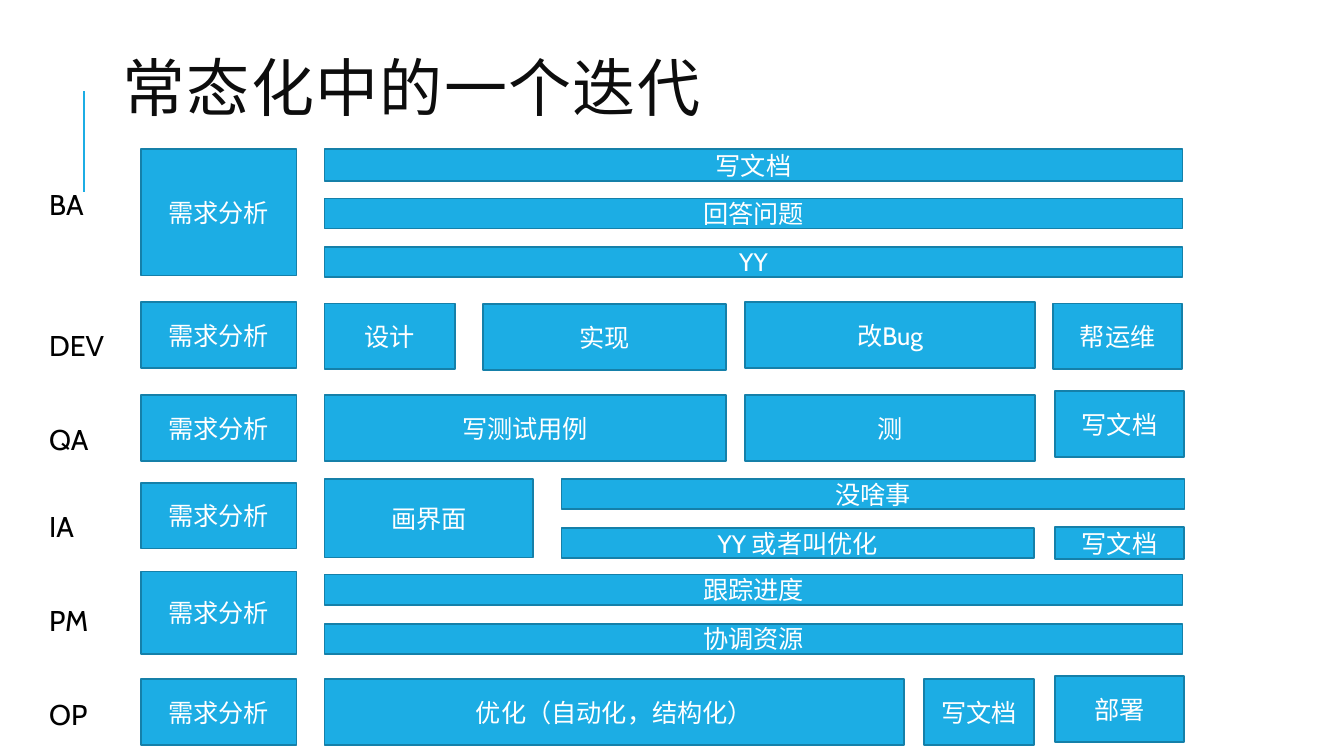
"""Build a slide showing what each role does during one iteration."""
from lxml.etree import SubElement
from pptx import Presentation
from pptx.dml.color import RGBColor
from pptx.enum.shapes import MSO_CONNECTOR, MSO_SHAPE
from pptx.enum.text import MSO_ANCHOR, PP_ALIGN
from pptx.oxml.ns import qn
from pptx.util import Cm, Pt

BLUE = RGBColor(0x1C, 0xAD, 0xE4)
EDGE = RGBColor(0x15, 0x80, 0xA9)
WHITE = RGBColor(0xFF, 0xFF, 0xFF)
BLACK = RGBColor(0x00, 0x00, 0x00)
INK = RGBColor(0x0D, 0x0D, 0x0D)

ANALYSIS, MAIN, TEST, LAST = 3.56, 8.18, 18.77, 26.59
FULL_W, ANALYSIS_W, TEST_W, LAST_W = 21.62, 3.91, 7.32, 3.25
TALL, THIN = 1.65, 0.76

LANES = [
    ("BA", 0, [
        ("需求分析", ANALYSIS, 3.76, ANALYSIS_W, 3.18),
        ("写文档", MAIN, 3.76, FULL_W, 0.81),
        ("回答问题", MAIN, 5, FULL_W, THIN),
        ("YY", MAIN, 6.22, FULL_W, THIN),
    ]),
    ("DEV", 79, [
        ("需求分析", ANALYSIS, 7.62, ANALYSIS_W, TALL),
        ("设计", MAIN, 7.65, 3.28, TALL),
        ("实现", 12.17, 7.67, 6.12, TALL),
        ("改Bug", TEST, 7.62, TEST_W, TALL),
        ("帮运维", 26.54, 7.65, LAST_W, TALL),
    ]),
    ("QA", 45.5, [
        ("需求分析", ANALYSIS, 9.96, ANALYSIS_W, TALL),
        ("写测试用例", MAIN, 9.96, 10.11, TALL),
        ("测", TEST, 9.96, TEST_W, TALL),
        ("写文档", LAST, 9.86, LAST_W, TALL),
    ]),
    ("IA", 40.5, [
        ("需求分析", ANALYSIS, 12.17, ANALYSIS_W, TALL),
        ("画界面", MAIN, 12.07, 5.26, 1.98),
        ("没啥事", 14.15, 12.07, 15.7, THIN),
        ("YY 或者叫优化", 14.15, 13.31, 11.91, THIN),
        ("写文档", LAST, 13.28, LAST_W, 0.81),
    ]),
    ("PM", 45.5, [
        ("需求分析", ANALYSIS, 14.4, ANALYSIS_W, 2.08),
        ("跟踪进度", MAIN, 14.48, FULL_W, THIN),
        ("协调资源", MAIN, 15.72, FULL_W, THIN),
    ]),
    ("OP", 45.5, [
        ("需求分析", ANALYSIS, 17.12, ANALYSIS_W, TALL),
        ("优化（自动化，结构化）", MAIN, 17.12, 14.61, TALL),
        ("写文档", 23.29, 17.12, 2.77, TALL),
        ("部署", LAST, 17.04, LAST_W, TALL),
    ]),
]


def format_runs(p, size, color, name="Cabin"):
    """Set the font of every run in a paragraph."""
    for r in p.runs:
        r.font.size = Pt(size)
        r.font.name = name
        r.font.color.rgb = color


def add_accent(s):
    """Draw the vertical line beside the title."""
    line = s.shapes.add_connector(
        MSO_CONNECTOR.STRAIGHT, Cm(2.12), Cm(4.83), Cm(2.12), Cm(2.3))
    line.line.color.rgb = BLUE
    line.line.width = Pt(1.5)
    SubElement(line._element.spPr, qn("a:effectLst"))


def add_title(s, text):
    """Add the title text."""
    tf = s.shapes.add_textbox(Cm(2.84), Cm(1.63), Cm(27), Cm(1.47)).text_frame
    tf.word_wrap = True
    tf.vertical_anchor = MSO_ANCHOR.MIDDLE
    tf.text = text
    p = tf.paragraphs[0]
    p.line_spacing = 0.8
    format_runs(p, 45, INK, "Calibri")
    p.runs[0].font._element.set("spc", "100")


def add_block(s, text, left, top, width, height):
    """Add one activity block."""
    sp = s.shapes.add_shape(MSO_SHAPE.FLOWCHART_PROCESS,
                            Cm(left), Cm(top), Cm(width), Cm(height))
    sp.shadow.inherit = False
    sp.fill.solid()
    sp.fill.fore_color.rgb = BLUE
    sp.line.color.rgb = EDGE
    sp.line.width = Pt(1.25)
    tf = sp.text_frame
    tf.word_wrap = True
    tf.vertical_anchor = MSO_ANCHOR.MIDDLE
    tf.text = text
    p = tf.paragraphs[0]
    p.alignment = PP_ALIGN.CENTER
    format_runs(p, 18, WHITE)


def add_roles(s):
    """List the roles down the left edge."""
    tf = s.shapes.add_textbox(Cm(0.86), Cm(3.48), Cm(2.18), Cm(15.19)).text_frame
    tf.word_wrap = True
    tf.margin_left = Cm(0.38)
    tf.margin_right = tf.margin_bottom = Cm(0.13)
    tf.margin_top = Cm(1.4)
    tf.text = "\n".join(role for role, _, _ in LANES)
    for p, (_, gap, _) in zip(tf.paragraphs, LANES):
        p.line_spacing = 0.8
        p.space_before = Pt(gap)
        p.space_after = Pt(2)
        format_runs(p, 20.4, BLACK)


def main():
    """Build and save the slide."""
    prs = Presentation()
    prs.slide_width, prs.slide_height = Cm(33.87), Cm(19.05)
    s = prs.slides.add_slide(prs.slide_layouts[6])
    add_accent(s)
    add_title(s, "常态化中的一个迭代")
    for _, _, blocks in LANES:
        for block in blocks:
            add_block(s, *block)
    add_roles(s)
    prs.save("out.pptx")


if __name__ == "__main__":
    main()
